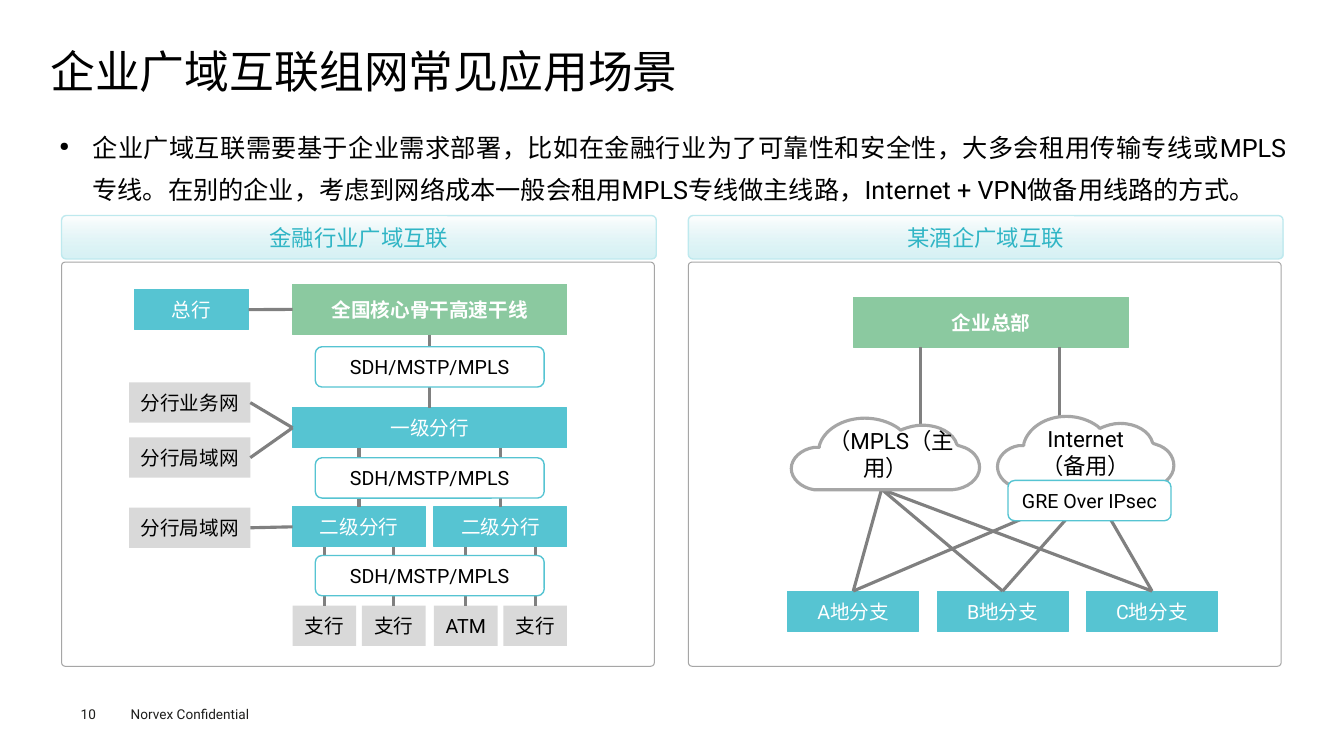
from lxml.etree import SubElement
from pptx import Presentation
from pptx.dml.color import RGBColor as RGB
from pptx.enum.shapes import MSO_CONNECTOR as CONN, MSO_SHAPE as SHAPE
from pptx.enum.text import MSO_ANCHOR as ANCHOR, PP_ALIGN as ALIGN
from pptx.oxml.ns import qn
from pptx.util import Pt

THEME = dict(
    font="Roboto", black="000000", white="FFFFFF", footer="1D1D1B",
    green="8BC9A0", teal="56C4D2", gray="D9D9D9", wire="808080",
    frame="A6A6A6", pale="BEE9EE", heading="30B5C5",
    title_size=32, body_size=18, head_size=16, box_size=14, foot_size=9.7,
)

TITLE = "企业广域互联组网常见应用场景"
BODY = ("企业广域互联需要基于企业需求部署，比如在金融行业为了可靠性和安全性，"
        "大多会租用传输专线或MPLS专线。在别的企业，考虑到网络成本一般会租用"
        "MPLS专线做主线路，Internet + VPN做备用线路的方式。")
FOOTERS = [("10", 57.6, 504.3, 40), ("Norvex Confidential", 93.4, 504, 130)]
PANELS = [("金融行业广域互联", 44), ("某酒企广域互联", 491.7)]

COL_X, COL_W, HALF_W, LEAF_W, BOX_H = 209, 196, 95, 45.5, 28.8
LEVEL1_Y, LEVEL_STEP = 291.2, 70.7
LEAVES = ["支行", "支行", "ATM", "支行"]
SIDE_NETS = [("分行业务网", 273.2), ("分行局域网", 312.5), ("分行局域网", 362.6)]
CARRIER, CARRIER_W, CARRIER_YS = "SDH/MSTP/MPLS", 163.5, [247.7, 327, 396.8]

BRANCHES = ["A地分支", "B地分支", "C地分支"]
BRANCH_X, BRANCH_STEP, BRANCH_W, BRANCH_Y = 562.7, 106.7, 93.6, 422.2
UPLINKS = [((657.7, 248), (657.7, 304)), ((756.7, 248), (756.7, 299))]
MPLS_HUB = (629.7, 349.5)
BACKUP_STARTS = [(783, 348), (780, 350), (780, 348)]
CLOUDS = [(["（MPLS（主用）"], 565.2, 298.7, 134.5, 8),
          (["Internet", "（备用）"], 712.5, 297.4, 126, 0)]
CLOUD_W, CLOUD_H, CLOUD_BOX_H = 174, 71, 51.1
CLOUD_START = (68, 0)
CLOUD_PATH = [
    (80, 0, 91, 4, 99, 10), (101, 12), (103, 11),
    (108, 9, 114, 7, 121, 7), (137, 7, 150, 15, 153, 26),
    (154, 27), (157, 28), (167, 31, 174, 39, 174, 49),
    (174, 60, 163, 70, 149, 71), (21, 71), (9, 69, 0, 60, 0, 50),
    (0, 40, 9, 31, 21, 29), (26, 29), (26, 27), (30, 12, 47, 0, 68, 0),
]
TOP, LEFT, BOTTOM, RIGHT = range(4)

prs = Presentation()
prs.slide_width, prs.slide_height = Pt(960), Pt(540)
shapes = prs.slides.add_slide(prs.slide_layouts[6]).shapes


def color(name):
    return RGB.from_string(THEME[name])


def write(sp, lines, size, ink, align=ALIGN.LEFT, bold=False, inset=(0, 0), anchor=ANCHOR.TOP):
    tf = sp.text_frame
    tf.word_wrap, tf.vertical_anchor = True, anchor
    tf.margin_left = tf.margin_right = Pt(inset[0])
    tf.margin_top = tf.margin_bottom = Pt(inset[1])
    tf.text = "\n".join(lines)
    for p in tf.paragraphs:
        p.alignment = align
        for r in p.runs:
            r.font.name, r.font.size, r.font.bold = THEME["font"], Pt(THEME[size]), bold
            r.font.color.rgb = color(ink)
    return tf.paragraphs[0]


def textbox(text, x, y, w, h, size, ink, **style):
    sp = shapes.add_textbox(Pt(x), Pt(y), Pt(w), Pt(h))
    return write(sp, [text], size, ink, **style)


def paint(sp, fill, line, width):
    sp.shadow.inherit = False
    if fill:
        sp.fill.solid()
        sp.fill.fore_color.rgb = color(fill)
    else:
        sp.fill.background()
    if line:
        sp.line.color.rgb, sp.line.width = color(line), Pt(width)
    else:
        sp.line.fill.background()


def shape(kind, x, y, w, h, fill=None, line=None, width=0.75, adj=None):
    sp = shapes.add_shape(kind, Pt(x), Pt(y), Pt(w), Pt(h))
    paint(sp, fill, line, width)
    if adj is not None:
        sp.adjustments[0] = adj
    return sp


def box(text, x, y, w, fill="teal", ink="white", h=BOX_H, bold=False):
    sp = shape(SHAPE.RECTANGLE, x, y, w, h, fill, None if fill == "gray" else fill)
    write(sp, [text], "box_size", ink, ALIGN.CENTER, bold, anchor=ANCHOR.MIDDLE)
    return sp


def pill(text, x, y, w):
    sp = shape(SHAPE.ROUNDED_RECTANGLE, x, y, w, BOX_H, "white", "teal", 1)
    write(sp, [text], "box_size", "black", ALIGN.CENTER, anchor=ANCHOR.MIDDLE)


def side_point(sp, side):
    dx, dy = [(0.5, 0), (0, 0.5), (0.5, 1), (1, 0.5)][side]
    return (sp.left + sp.width * dx) / Pt(1), (sp.top + sp.height * dy) / Pt(1)


def link(start, end):
    ends = [e if isinstance(e[0], (int, float)) else side_point(*e) for e in (start, end)]
    c = shapes.add_connector(CONN.STRAIGHT, *[Pt(v) for point in ends for v in point])
    c.line.color.rgb, c.line.width = color("wire"), Pt(2.25)
    SubElement(c._element.spPr, qn("a:effectLst"))
    for e, join in ((start, c.begin_connect), (end, c.end_connect)):
        if not isinstance(e[0], (int, float)):
            join(*e)


def drop(y, sp):
    link((side_point(sp, TOP)[0], y), (sp, TOP))


def draw_curves(outline):
    for child in list(outline):
        outline.remove(child)
    outline.set("w", str(CLOUD_W))
    outline.set("h", str(CLOUD_H))
    for i, seg in enumerate([CLOUD_START] + CLOUD_PATH):
        tag = "a:moveTo" if i == 0 else "a:lnTo" if len(seg) == 2 else "a:cubicBezTo"
        step = SubElement(outline, qn(tag))
        for px, py in zip(seg[::2], seg[1::2]):
            SubElement(step, qn("a:pt"), x=str(px), y=str(py))
    SubElement(outline, qn("a:close"))


def cloud(lines, x, y, w, indent):
    right, bottom = Pt(x + w), Pt(y + CLOUD_BOX_H)
    fb = shapes.build_freeform(Pt(x), Pt(y), scale=1.0)
    fb.add_line_segments([(right, Pt(y)), (right, bottom), (Pt(x), bottom)])
    sp = fb.convert_to_shape()
    draw_curves(sp._element.xpath(".//a:path")[0])
    paint(sp, "white", "frame", 2.25)
    p = write(sp, lines, "head_size", "black", ALIGN.CENTER, inset=(7.2, 3.6), anchor=ANCHOR.MIDDLE)
    if indent:
        p._p.get_or_add_pPr().set("indent", str(Pt(indent)))


for text, x, y, w in FOOTERS:
    textbox(text, x, y, w, 12, "foot_size", "footer")
textbox(TITLE, 36, 35.3, 889, 38, "title_size", "black").line_spacing = 0.9
p = textbox(BODY, 36, 82.8, 889.2, 384.5, "body_size", "black", align=ALIGN.JUSTIFY, inset=(6.5, 3))
p.line_spacing = 1.4
pPr = p._p.get_or_add_pPr()
pPr.set("marL", str(Pt(23.6)))
pPr.set("indent", str(Pt(-23.6)))
SubElement(pPr, qn("a:buSzPct")).set("val", "50000")
SubElement(pPr, qn("a:buChar")).set("char", "●")

for heading, x in PANELS:
    shape(SHAPE.ROUNDED_RECTANGLE, x, 187.2, 423.4, 288.7, line="frame", adj=0.009)
    sp = shape(SHAPE.ROUNDED_RECTANGLE, x, 154, 424.8, 31, "white", "pale", 1, 0.106)
    sp.fill.gradient()
    sp.fill.gradient_angle = 270
    for stop, name in zip(sp.fill.gradient_stops, ("white", "pale")):
        stop.color.rgb = color(name)
    SubElement(sp._element.xpath(".//a:gs/a:srgbClr")[-1], qn("a:alpha")).set("val", "60000")
    write(sp, [heading], "head_size", "heading", ALIGN.CENTER, anchor=ANCHOR.MIDDLE)

level2_y, leaf_y = LEVEL1_Y + LEVEL_STEP, LEVEL1_Y + 2 * LEVEL_STEP
halves = [COL_X, COL_X + COL_W - HALF_W]
leaf_xs = [x + dx for x in halves for dx in (0, HALF_W - LEAF_W)]
core = box("全国核心骨干高速干线", COL_X, 203, COL_W, "green", h=36, bold=True)
level1 = box("一级分行", COL_X, LEVEL1_Y, COL_W)
level2 = [box("二级分行", x, level2_y, HALF_W) for x in halves]
leaves = [box(t, x, leaf_y, LEAF_W, "gray", "black") for t, x in zip(LEAVES, leaf_xs)]
nets = [box(t, 92.3, y, 86.5, "gray", "black") for t, y in SIDE_NETS]
head_office = box("总行", 96.2, 206.8, 81.4)
link((core, BOTTOM), (level1, TOP))
for sp in level2:
    drop(LEVEL1_Y + BOX_H, sp)
for sp in leaves:
    drop(level2_y + BOX_H, sp)
for net, parent in zip(nets, (level1, level1, level2[0])):
    link((parent, LEFT), (net, RIGHT))
link((core, LEFT), (head_office, RIGHT))
for y in CARRIER_YS:
    pill(CARRIER, COL_X + (COL_W - CARRIER_W) / 2, y, CARRIER_W)

box("企业总部", 610, 212.2, COL_W, "green", h=36, bold=True)
branches = [box(t, BRANCH_X + i * BRANCH_STEP, BRANCH_Y, BRANCH_W) for i, t in enumerate(BRANCHES)]
for start, end in UPLINKS:
    link(start, end)
for branch, start in zip(branches, BACKUP_STARTS):
    link(MPLS_HUB, (branch, TOP))
    link(start, (branch, TOP))
for args in CLOUDS:
    cloud(*args)
pill("GRE Over IPsec", 720, 343.2, 116.5)

prs.save("out.pptx")
